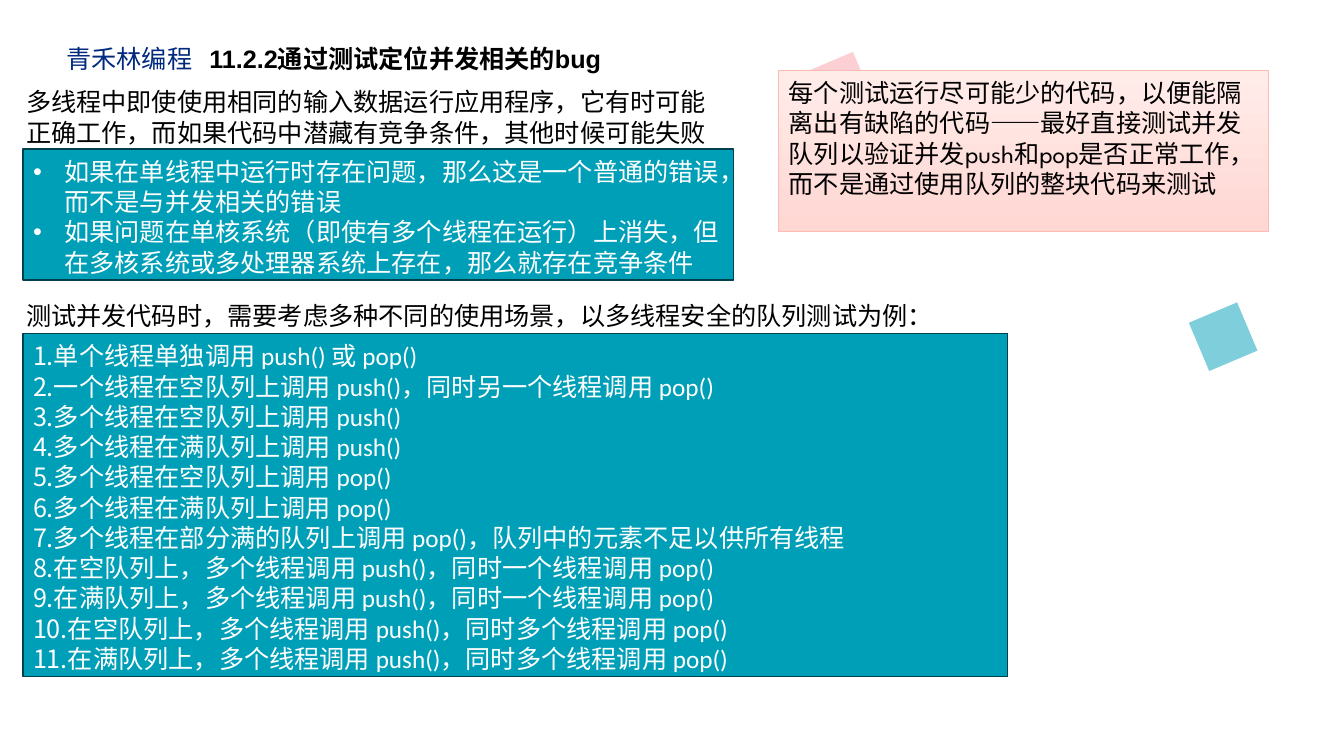
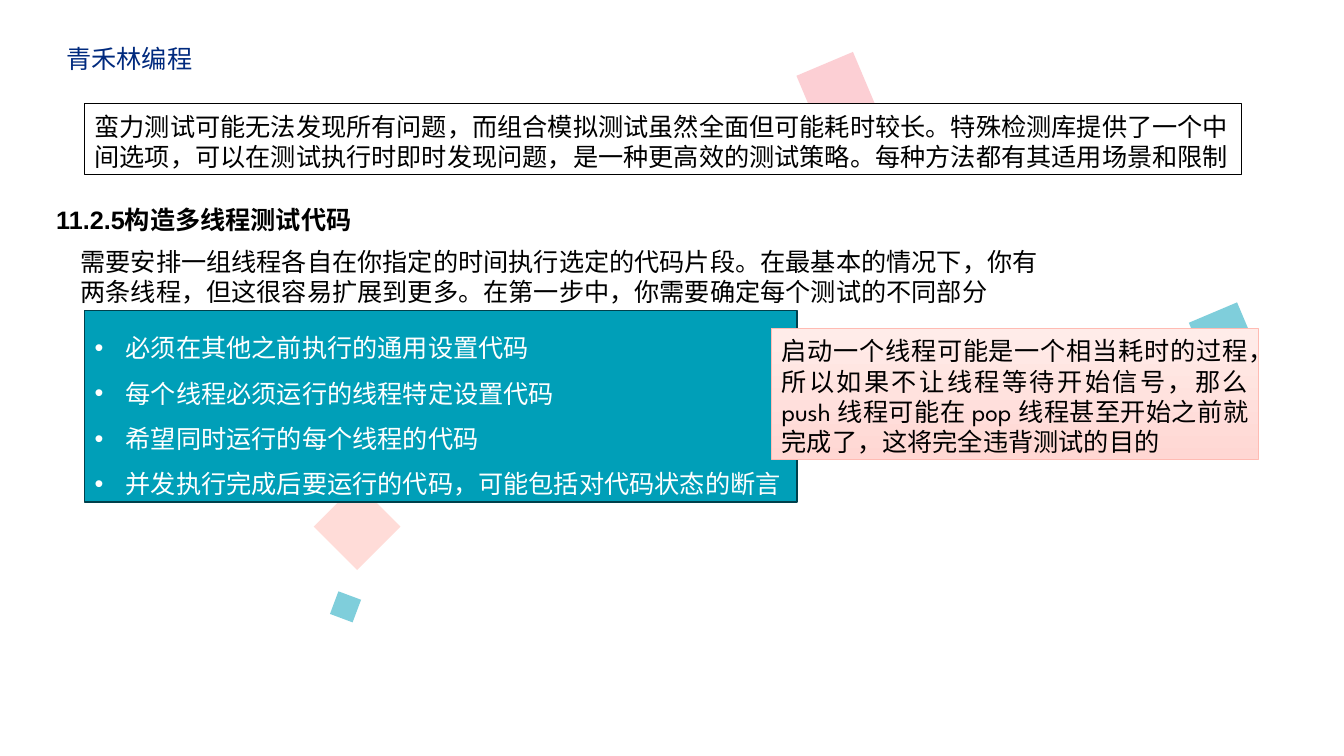
from lxml.etree import SubElement
from pptx import Presentation
from pptx.dml.color import RGBColor
from pptx.enum.lang import MSO_LANGUAGE_ID
from pptx.enum.shapes import MSO_SHAPE
from pptx.enum.text import MSO_ANCHOR, PP_ALIGN
from pptx.oxml.ns import qn
from pptx.util import Inches, Pt

# Slide and text grid: places are percentages of the slide, heights are text rows
SLIDE_WIDTH, SLIDE_HEIGHT = Inches(13.34), Inches(7.5)
ROW = Pt(21.6)
WIDE = 1.5
FRAME = {"margin_left": Inches(0.1), "margin_right": Inches(0.1),
         "margin_top": Inches(0.07), "margin_bottom": Inches(0.03),
         "word_wrap": True, "vertical_anchor": MSO_ANCHOR.TOP}
PADDING = FRAME["margin_top"] + FRAME["margin_bottom"]
INDENT = Inches(0.31)

# Colours
BLACK = RGBColor(0x00, 0x00, 0x00)
WHITE = RGBColor(0xFF, 0xFF, 0xFF)
NAVY = RGBColor(0x00, 0x2A, 0x7E)
TEAL = RGBColor(0x00, 0x9F, 0xB8)
DARK_TEAL = RGBColor(0x00, 0x40, 0x4C)
ROSE = RGBColor(0xFA, 0xA0, 0xAA)
PEACH = RGBColor(0xFF, 0xBB, 0xB3)
PEACH_LIGHT = RGBColor(0xFF, 0xEC, 0xE9)
PEACH_DEEP = RGBColor(0xFF, 0xD7, 0xD3)

# Text styles
CJK_FONT = "Noto Sans CJK JP"
BASE = {"size": Pt(18), "bold": False,
        "language_id": MSO_LANGUAGE_ID.SIMPLIFIED_CHINESE}
BRAND_STYLE = ({**BASE, "name": CJK_FONT}, NAVY)
TITLE_STYLE = ({**BASE, "name": "Arial", "bold": True}, BLACK)
BODY_STYLE = ({**BASE, "name": "Arial"}, BLACK)
NOTE_STYLE = ({**BASE, "name": "League Spartan"}, BLACK)
LIST_STYLE = ({**BASE, "name": "Calibri"}, WHITE)

# Decorative squares: left, top, side, rotation, colour
SHARED_SQUARES = [(59.97, 8.13, 4.57, 337.1, ROSE), (89.06, 41.07, 3.9, 337.1, TEAL)]
LOWER_SQUARES = [(24.29, 65.6, 4.57, 315, PEACH), (24.81, 78.67, 1.8, 290.5, TEAL)]

BUG_SIGNS = [
    "如果在单线程中运行时存在问题，那么这是一个普通的错误，而不是与并发相关的错误",
    "如果问题在单核系统（即使有多个线程在运行）上消失，但在多核系统或多处理器系统上存在，那么就存在竞争条件",
]
QUEUE_SCENARIOS = [
    "单个线程单独调用 push() 或 pop()",
    "一个线程在空队列上调用 push()，同时另一个线程调用 pop()",
    "多个线程在空队列上调用 push()",
    "多个线程在满队列上调用 push()",
    "多个线程在空队列上调用 pop()",
    "多个线程在满队列上调用 pop()",
    "多个线程在部分满的队列上调用 pop()，队列中的元素不足以供所有线程",
    "在空队列上，多个线程调用 push()，同时一个线程调用 pop()",
    "在满队列上，多个线程调用 push()，同时一个线程调用 pop()",
    "在空队列上，多个线程调用 push()，同时多个线程调用 pop()",
    "在满队列上，多个线程调用 push()，同时多个线程调用 pop()",
]
TEST_PARTS = [
    "必须在其他之前执行的通用设置代码",
    "每个线程必须运行的线程特定设置代码",
    "希望同时运行的每个线程的代码",
    "并发执行完成后要运行的代码，可能包括对代码状态的断言",
]


def across(share):
    return round(SLIDE_WIDTH * share / 100)


def down(share):
    return round(SLIDE_HEIGHT * share / 100)


def set_values(target, values):
    for name, value in values.items():
        setattr(target, name, value)


def add_marker(paragraph, marker):
    """Give a paragraph a white bullet or an automatic number."""
    properties = paragraph._p.get_or_add_pPr()
    indent = INDENT if marker == "bullet" else 0
    properties.set("marL", str(indent))
    properties.set("indent", str(-indent))
    colour = SubElement(properties, qn("a:buClr"))
    SubElement(colour, qn("a:srgbClr"), val=str(WHITE))
    if marker == "bullet":
        SubElement(properties, qn("a:buFont"), typeface="Arial")
        SubElement(properties, qn("a:buChar"), char="•")
    else:
        SubElement(properties, qn("a:buAutoNum"), type="arabicPeriod")


def write(shape, texts, style, marker=None, spacing=1, align=PP_ALIGN.LEFT):
    values, colour = style
    frame = shape.text_frame
    set_values(frame, FRAME)
    for index, text in enumerate(texts):
        paragraph = frame.paragraphs[0] if index == 0 else frame.add_paragraph()
        set_values(paragraph, {"alignment": align, "line_spacing": Pt(ROW.pt * spacing)})
        if marker:
            add_marker(paragraph, marker)
        run = paragraph.add_run()
        run.text = text
        set_values(run.font, values)
        run.font.color.rgb = colour
        SubElement(run._r.get_or_add_rPr(), qn("a:ea"), typeface=CJK_FONT)


def area(left, top, width, rows):
    return across(left), down(top), across(width), round(ROW * rows + PADDING)


def add_text(slide, place, text, style):
    write(slide.shapes.add_textbox(*area(*place)), [text], style)


def add_panel(slide, place, line, weight):
    shape = slide.shapes.add_shape(MSO_SHAPE.RECTANGLE, *area(*place))
    shape.shadow.inherit = False
    shape.line.color.rgb = line
    shape.line.width = Pt(weight)
    return shape


def add_solid_panel(slide, place, fill, line, texts, style, **layout):
    shape = add_panel(slide, place, line, 1)
    shape.fill.solid()
    shape.fill.fore_color.rgb = fill
    write(shape, texts, style, **layout)


def add_list(slide, place, items, marker, spacing=1):
    add_solid_panel(slide, place, TEAL, DARK_TEAL, items, LIST_STYLE,
                    marker=marker, spacing=spacing)


def add_note(slide, place, text, align=PP_ALIGN.LEFT):
    shape = add_panel(slide, place, PEACH, 0.5)
    shape.fill.gradient()
    shape.fill.gradient_angle = 270
    for stop, colour in zip(shape.fill.gradient_stops, (PEACH_LIGHT, PEACH_DEEP)):
        stop.color.rgb = colour
    write(shape, [text], NOTE_STYLE, align=align)


def add_square(slide, left, top, side, rotation, colour):
    shape = slide.shapes.add_shape(MSO_SHAPE.RECTANGLE, across(left), down(top),
                                   across(side), across(side))
    shape.shadow.inherit = False
    shape.rotation = rotation
    shape.fill.solid()
    shape.fill.fore_color.rgb = colour
    shape.line.fill.background()
    tint = shape._element.spPr.find(qn("a:solidFill"))[0]
    SubElement(tint, qn("a:alpha"), val="50000")


def start_slide(presentation, extra_squares=()):
    """Add a blank slide with the shared squares and course label."""
    slide = presentation.slides.add_slide(presentation.slide_layouts[6])
    for square in [*SHARED_SQUARES, *extra_squares]:
        add_square(slide, *square)
    add_text(slide, (4.2, 4.8, 11.17, 1), "青禾林编程", BRAND_STYLE)
    return slide


def build_bug_slide(presentation):
    slide = start_slide(presentation)
    add_text(slide, (14.84, 4.8, 49.93, 1), "11.2.2通过测试定位并发相关的bug", TITLE_STYLE)
    add_text(slide, (1.2, 10.53, 53.9, 2),
             "多线程中即使使用相同的输入数据运行应用程序，它有时可能正确工作，"
             "而如果代码中潜藏有竞争条件，其他时候可能失败", BODY_STYLE)
    add_note(slide, (57.95, 9.33, 36.43, 5),
             "每个测试运行尽可能少的代码，以便能隔离出有缺陷的代码——最好直接测试"
             "并发队列以验证并发push和pop是否正常工作，而不是通过使用队列的整块代码来测试")
    add_list(slide, (1.72, 19.73, 52.85, 4), BUG_SIGNS, "bullet")
    add_text(slide, (1.2, 38.8, 96.03, 1),
             "测试并发代码时，需要考虑多种不同的使用场景，以多线程安全的队列测试为例：",
             BODY_STYLE)
    add_list(slide, (1.72, 44.13, 73.24, len(QUEUE_SCENARIOS)), QUEUE_SCENARIOS, "number")


def build_test_code_slide(presentation):
    slide = start_slide(presentation, LOWER_SQUARES)
    add_solid_panel(slide, (6.3, 13.73, 86.06, 2), WHITE, BLACK, [
        "蛮力测试可能无法发现所有问题，而组合模拟测试虽然全面但可能耗时较长。"
        "特殊检测库提供了一个中间选项，可以在测试执行时即时发现问题，"
        "是一种更高效的测试策略。每种方法都有其适用场景和限制"], NOTE_STYLE)
    add_text(slide, (3.45, 26.13, 49.93, 1), "11.2.5构造多线程测试代码", TITLE_STYLE)
    add_text(slide, (5.25, 31.6, 73.46, 2),
             "需要安排一组线程各自在你指定的时间执行选定的代码片段。在最基本的情况下，"
             "你有两条线程，但这很容易扩展到更多。在第一步中，你需要确定每个测试的不同部分",
             BODY_STYLE)
    add_list(slide, (6.3, 41.07, 53, len(TEST_PARTS) * WIDE), TEST_PARTS, "bullet", WIDE)
    add_note(slide, (57.42, 43.47, 36.21, 4),
             "启动一个线程可能是一个相当耗时的过程，所以如果不让线程等待开始信号，"
             "那么 push 线程可能在 pop 线程甚至开始之前就完成了，这将完全违背测试的目的",
             PP_ALIGN.JUSTIFY)


def main():
    presentation = Presentation()
    set_values(presentation, {"slide_width": SLIDE_WIDTH, "slide_height": SLIDE_HEIGHT})
    build_bug_slide(presentation)
    build_test_code_slide(presentation)
    presentation.save("out.pptx")


if __name__ == "__main__":
    main()
